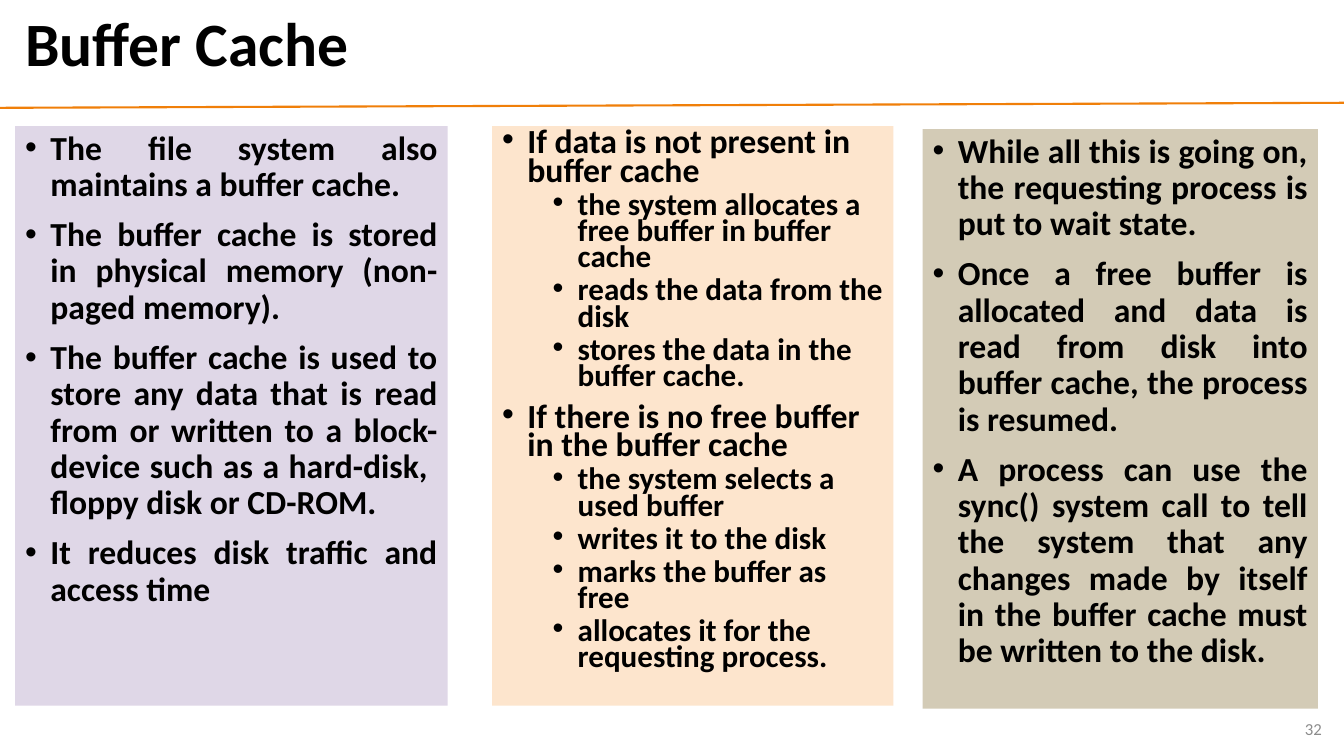
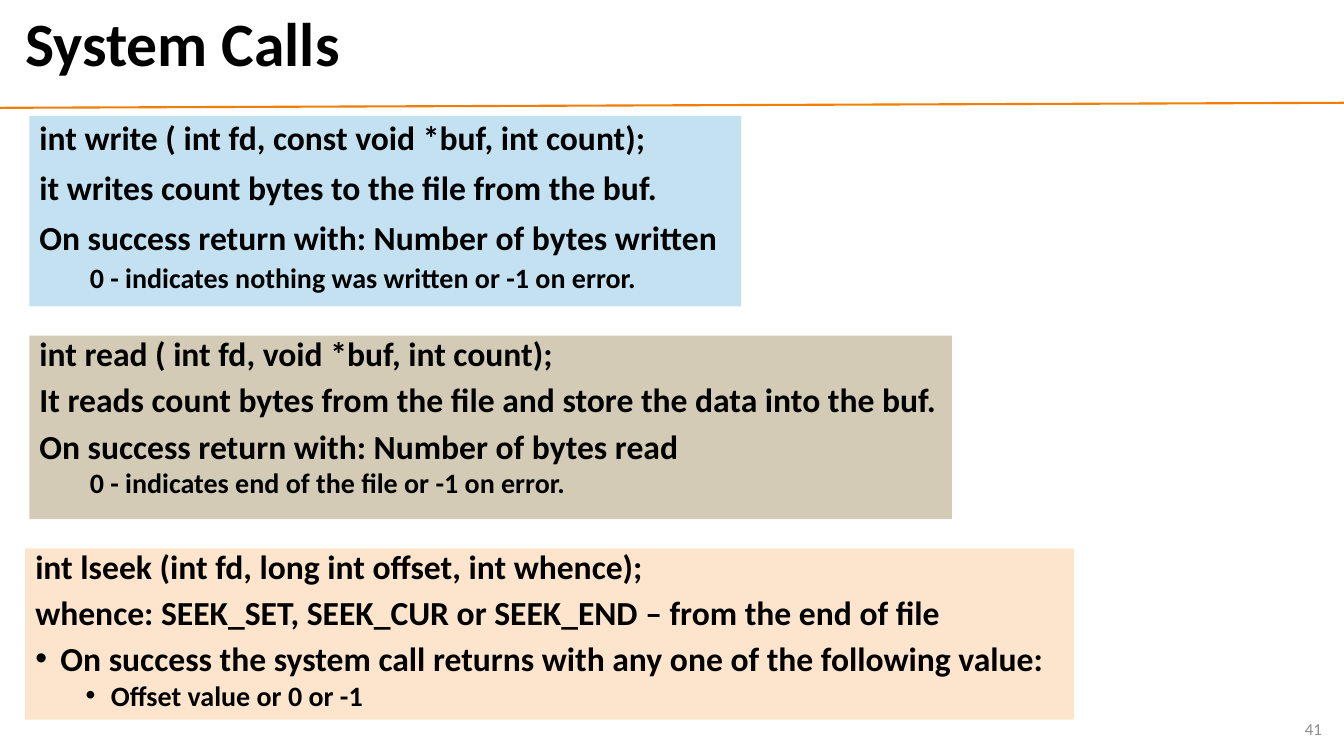
import pptx
import pptx.dml.color
import pptx.enum.shapes
import pptx.enum.text
import pptx.oxml
import pptx.oxml.ns
import pptx.util
import lxml.etree
from dataclasses import dataclass

Inches = pptx.util.Inches
Pt = pptx.util.Pt
RGBColor = pptx.dml.color.RGBColor
Align = pptx.enum.text.PP_ALIGN
Anchor = pptx.enum.text.MSO_ANCHOR
qn = pptx.oxml.ns.qn

FONT = "Calibri"
BLACK = RGBColor(0x00, 0x00, 0x00)
GREY = RGBColor(0x8C, 0x8C, 0x8C)
ORANGE = RGBColor(0xF0, 0x7F, 0x09)
LILAC = RGBColor(0xDF, 0xD7, 0xE7)
PEACH = RGBColor(0xFD, 0xE5, 0xCD)
SAND = RGBColor(0xD3, 0xCB, 0xB6)
SKY = RGBColor(0xC4, 0xE1, 0xF2)

PAGE_WIDTH, PAGE_HEIGHT = 13.33, 7.5
TITLE_BOX = (0.15, 0.05, 12.89, 0.83)
NUMBER_BOX = (10.21, 7.03, 3, 0.4)
COMPARISON_LAYOUT = 4  # a title and four body placeholders


@dataclass
class Panel:
    """A filled list; each item is (level, text, has bullet)."""
    box: tuple
    fill: RGBColor
    items: list
    sizes: tuple = (24, 20)
    spacing: float = 0.9
    align: Align = Align.LEFT


def place(shape, box):
    shape.left, shape.top, shape.width, shape.height = map(Inches, box)


def style_font(paragraph, size, color, bold=False):
    for span in paragraph.runs:
        span.font.name = FONT
        span.font.size = Pt(size)
        span.font.bold = bold
        span.font.color.rgb = color


def set_bullet(paragraph, level, bulleted):
    properties = paragraph._p.get_or_add_pPr()
    properties.set("marL", str(Inches(0.25 + 0.5 * level)))
    properties.set("indent", str(Inches(-0.25)))
    if bulleted:
        lxml.etree.SubElement(properties, qn("a:buFont")).set("typeface", "Arial")
        lxml.etree.SubElement(properties, qn("a:buChar")).set("char", "•")
    else:
        lxml.etree.SubElement(properties, qn("a:buNone"))


# Shared parts
def add_master_rule(deck, page):
    """Draw the orange rule and move it to the slide master."""
    rule = page.shapes.add_connector(
        pptx.enum.shapes.MSO_CONNECTOR.STRAIGHT,
        Inches(0), Inches(1.07), Inches(PAGE_WIDTH), Inches(1.02))
    rule.line.color.rgb = ORANGE
    rule.line.width = Pt(1.5)
    lxml.etree.SubElement(rule.element.spPr, qn("a:effectLst"))
    rule.element.nvCxnSpPr.cNvPr.set("id", "20")
    deck.slide_master.shapes.element.append(rule.element)


def fill_title(title, text):
    place(title, TITLE_BOX)
    frame = title.text_frame
    frame.text = text
    frame.vertical_anchor = Anchor.MIDDLE
    frame.auto_size = pptx.enum.text.MSO_AUTO_SIZE.NONE
    paragraph = frame.paragraphs[0]
    paragraph.alignment = Align.LEFT
    paragraph.line_spacing = 0.9
    style_font(paragraph, 44, BLACK, bold=True)


def add_page_number(page, number):
    frame = page.shapes.add_textbox(*map(Inches, NUMBER_BOX)).text_frame
    frame.word_wrap = True
    frame.vertical_anchor = Anchor.MIDDLE
    frame.text = str(number)
    frame.paragraphs[0].alignment = Align.RIGHT
    style_font(frame.paragraphs[0], 12, GREY)


# List panels
def fill_panel(body, panel):
    place(body, panel.box)
    body.fill.solid()
    body.fill.fore_color.rgb = panel.fill
    body.line.fill.background()
    frame = body.text_frame
    frame.word_wrap = True
    frame.vertical_anchor = Anchor.TOP
    frame.auto_size = pptx.enum.text.MSO_AUTO_SIZE.NONE
    for index, (level, text, bulleted) in enumerate(panel.items):
        paragraph = frame.add_paragraph() if index else frame.paragraphs[0]
        paragraph.text = text
        paragraph.level = level
        paragraph.alignment = panel.align
        paragraph.line_spacing = panel.spacing
        paragraph.space_before = Pt((10, 5)[level] if index else 0)
        paragraph.space_after = Pt(0)
        set_bullet(paragraph, level, bulleted)
        style_font(paragraph, panel.sizes[level], BLACK, bold=True)


def add_panel_page(deck, title, number, panels):
    page = deck.slides.add_slide(deck.slide_layouts[COMPARISON_LAYOUT])
    fill_title(page.shapes.title, title)
    bodies = [holder for holder in page.placeholders
              if holder.placeholder_format.idx != 0]
    for body, panel in zip(bodies, panels):
        fill_panel(body, panel)
    for unused in bodies[len(panels):]:
        unused.element.getparent().remove(unused.element)
    add_page_number(page, number)
    return page


BUFFER_PANELS = [
    Panel((0.15, 1.25, 4.29, 5.75), LILAC, [
        (0, "The file system also maintains a buffer cache.", True),
        (0, "The buffer cache is stored in physical memory (non-paged memory).", True),
        (0, "The buffer cache is used to store any data that is read from or written "
            "to a block-device such as a hard-disk,  floppy disk or CD-ROM.", True),
        (0, "It reduces disk traffic and access time", True),
    ], align=Align.JUSTIFY),
    Panel((4.88, 1.25, 3.98, 5.75), PEACH, [
        (0, "If data is not present in buffer cache", True),
        (1, "the system allocates a free buffer in buffer cache", True),
        (1, "reads the data from the disk", True),
        (1, "stores the data in the buffer cache.", True),
        (0, "If there is no free buffer in the buffer cache", True),
        (1, "the system selects a used buffer", True),
        (1, "writes it to the disk", True),
        (1, "marks the buffer as free", True),
        (1, "allocates it for the requesting process.", True),
    ], sizes=(24.1, 22.2), spacing=0.7),
    Panel((9.15, 1.28, 3.92, 5.75), SAND, [
        (0, "While all this is going on, the requesting process is put to wait state.", True),
        (0, "Once a free buffer is allocated and data is read from disk into "
            "buffer cache, the process is resumed.", True),
        (0, "A process can use the sync() system call to tell the system that any "
            "changes made by itself in the buffer cache must be written to the disk.", True),
    ], align=Align.JUSTIFY),
]

CALL_PANELS = [
    Panel((0.29, 1.15, 7.06, 1.89), SKY, [
        (0, "int write ( int fd, const void *buf, int count);", False),
        (0, "it writes count bytes to the file from the buf.", False),
        (0, "On success return with: Number of bytes written", False),
        (1, "0 - indicates nothing was written or -1 on error.", False),
    ]),
    Panel((0.29, 3.33, 9.15, 1.82), SAND, [
        (0, "int read ( int fd, void *buf, int count);", False),
        (0, "It reads count bytes from the file and store the data into the buf.", False),
        (0, "On success return with: Number of bytes read", False),
        (1, "0 - indicates end of the file or -1 on error.", False),
    ], spacing=0.8),
    Panel((0.25, 5.44, 10.4, 1.7), PEACH, [
        (0, "int lseek (int fd, long int offset, int whence);", False),
        (0, "whence: SEEK_SET, SEEK_CUR or SEEK_END – from the end of file", False),
        (0, "On success the system call returns with any one of the following value:", True),
        (1, "Offset value or 0 or -1", True),
    ], spacing=0.8),
]


def main():
    deck = pptx.Presentation()
    deck.slide_width = Inches(PAGE_WIDTH)
    deck.slide_height = Inches(PAGE_HEIGHT)
    first_page = add_panel_page(deck, "Buffer Cache", 32, BUFFER_PANELS)
    add_master_rule(deck, first_page)
    add_panel_page(deck, "System Calls", 41, CALL_PANELS)
    deck.save("out.pptx")


if __name__ == "__main__":
    main()
